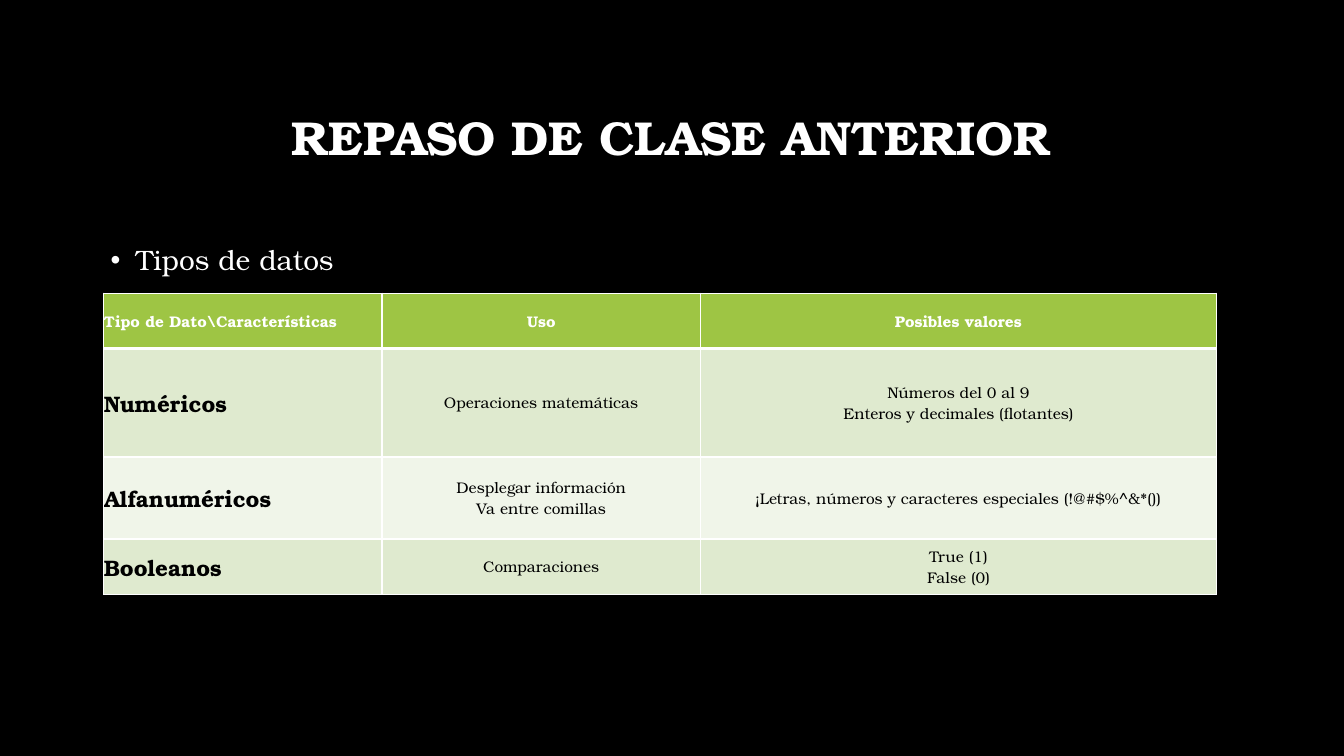
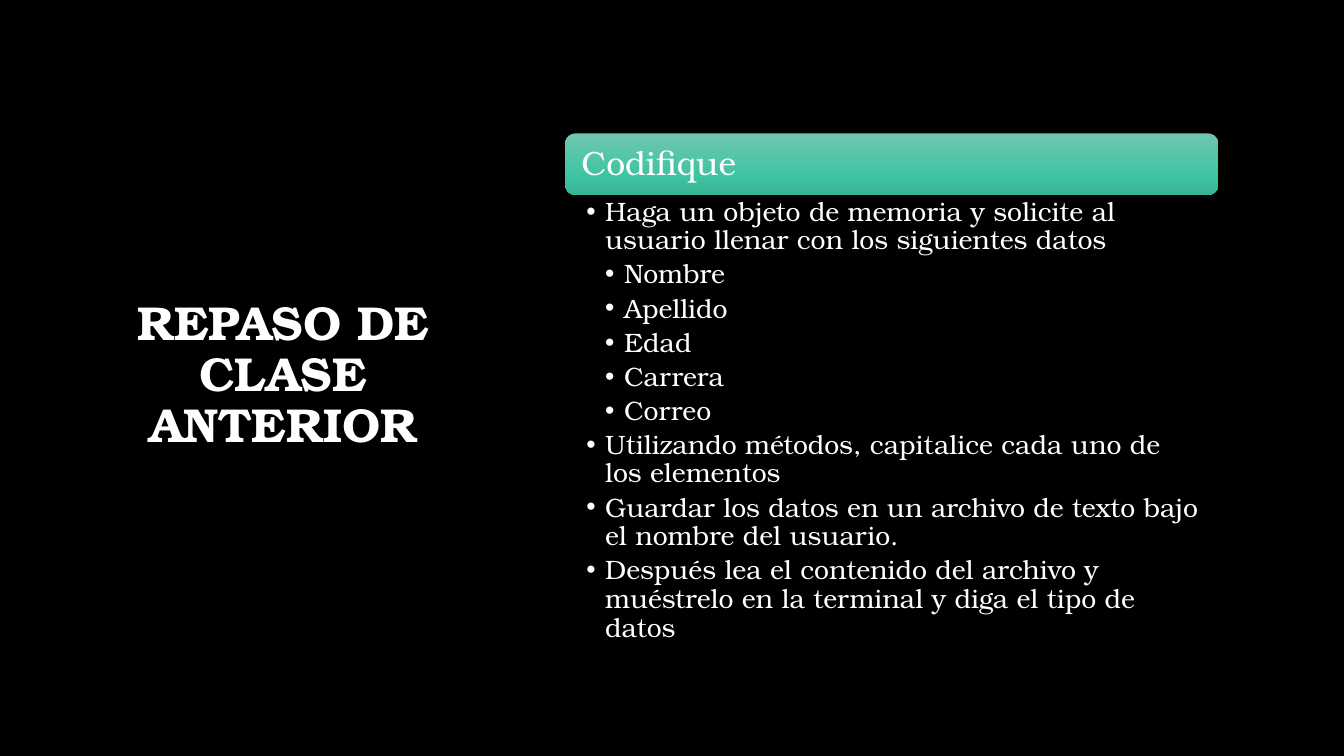
from pptx import Presentation
from pptx.dml.color import RGBColor
from pptx.enum.shapes import MSO_SHAPE
from pptx.enum.text import MSO_ANCHOR as Anchor, PP_ALIGN as Align
from pptx.oxml import parse_xml
from pptx.oxml.ns import nsdecls, qn
from pptx.util import Pt

FONT = "TeX Gyre Bonum"
BLACK, WHITE, GREEN = "000000", "FFFFFF", "9EC544"
BANDS = ["DFEACF", "F0F5E9"]
BANNER_STOPS = [(0, "70C6AF"), (69, "3EC4A3"), (100, "37B395")]

TITLE = "REPASO DE CLASE ANTERIOR"
TOPIC = "Tipos de datos"
COLUMN_WIDTHS = [198.7, 227.5, 368.6]
ROW_HEIGHTS = [39.4, 77.6, 58.6, 39.4]
TABLE_ROWS = [
    ("Tipo de Dato\\Características", "Uso", "Posibles valores"),
    ("Numéricos", "Operaciones matemáticas",
     "Números del 0 al 9\nEnteros y decimales (flotantes)"),
    ("Alfanuméricos", "Desplegar información\nVa entre comillas",
     "¡Letras, números y caracteres especiales (!@#$%^&*())"),
    ("Booleanos", "Comparaciones", "True (1)\nFalse (0)"),
]
EXERCISE = "Codifique"
STEPS = [
    (1, "Haga un objeto de memoria y solicite al usuario llenar con los siguientes datos"),
    (2, "Nombre"),
    (2, "Apellido"),
    (2, "Edad"),
    (2, "Carrera"),
    (2, "Correo"),
    (1, "Utilizando métodos, capitalice cada uno de los elementos"),
    (1, "Guardar los datos en un archivo de texto bajo el nombre del usuario."),
    (1, "Después lea el contenido del archivo y muéstrelo en la terminal y diga el tipo de datos"),
]


def rgb(color):
    """Turn a hex string into a colour."""
    return RGBColor.from_string(color)


def write(paragraph, text, size, color=WHITE, bold=False, align=Align.LEFT,
          line=1.0, before=0, after=0):
    """Add one formatted run and set the spacing of its paragraph."""
    paragraph.alignment = align
    paragraph.line_spacing = line
    paragraph.space_before, paragraph.space_after = Pt(before), Pt(after)
    run = paragraph.add_run()
    run.text = text
    run.font.name, run.font.size, run.font.bold = FONT, Pt(size), bold
    run.font.color.rgb = rgb(color)


def add_bullet(paragraph, margin, indent):
    """Give a paragraph a hanging bullet, with lengths in points."""
    properties = paragraph._p.get_or_add_pPr()
    properties.set("marL", str(Pt(margin)))
    properties.set("indent", str(Pt(-indent)))
    properties.append(parse_xml(f'<a:buFont {nsdecls("a")} typeface="Arial"/>'))
    properties.append(parse_xml(f'<a:buChar {nsdecls("a")} char="•"/>'))


def set_frame(frame, anchor, insets):
    """Set wrapping, anchor and insets of a text frame."""
    frame.word_wrap = True
    frame.vertical_anchor = anchor
    (frame.margin_left, frame.margin_top,
     frame.margin_right, frame.margin_bottom) = [Pt(inset) for inset in insets]
    return frame


def add_text_frame(slide, box, anchor=Anchor.TOP, insets=(7.2, 3.6, 7.2, 3.6)):
    """Add a text box and return its frame."""
    shape = slide.shapes.add_textbox(*[Pt(length) for length in box])
    return set_frame(shape.text_frame, anchor, insets)


def add_titled_slide(presentation, title_box):
    """Add a black slide with the shared title."""
    slide = presentation.slides.add_slide(presentation.slide_layouts[6])
    slide.background.fill.solid()
    slide.background.fill.fore_color.rgb = rgb(BLACK)
    frame = add_text_frame(slide, title_box, Anchor.MIDDLE)
    write(frame.paragraphs[0], TITLE, 34, bold=True, align=Align.CENTER, line=0.9)
    return slide


def style_cell(cell, fill, top, bottom):
    """Set borders, fill and insets of a table cell."""
    properties = cell._tc.get_or_add_tcPr()
    for side, width in (("L", 1), ("R", 1), ("T", top), ("B", bottom)):
        properties.append(parse_xml(
            f'<a:ln{side} {nsdecls("a")} w="{Pt(width)}"><a:solidFill>'
            f'<a:srgbClr val="{WHITE}"/></a:solidFill></a:ln{side}>'))
    cell.fill.solid()
    cell.fill.fore_color.rgb = rgb(fill)
    cell.vertical_anchor = Anchor.MIDDLE
    cell.margin_left = cell.margin_right = cell.margin_top = cell.margin_bottom = 0


def add_type_table(slide, left, top):
    """Add the table of data types."""
    table = slide.shapes.add_table(
        len(TABLE_ROWS), len(COLUMN_WIDTHS), Pt(left), Pt(top),
        Pt(sum(COLUMN_WIDTHS)), Pt(sum(ROW_HEIGHTS))).table
    for column, width in zip(table.columns, COLUMN_WIDTHS):
        column.width = Pt(width)
    for r, texts in enumerate(TABLE_ROWS):
        table.rows[r].height = Pt(ROW_HEIGHTS[r])
        header = r == 0
        fill = GREEN if header else BANDS[(r - 1) % 2]
        for c, text in enumerate(texts):
            cell = table.cell(r, c)
            style_cell(cell, fill, 3 if r == 1 else 1, 3 if header else 1)
            frame = cell.text_frame
            for i, line in enumerate(text.split("\n")):
                paragraph = frame.add_paragraph() if i else frame.paragraphs[0]
                write(paragraph, line, 16 if c == 0 and not header else 11,
                      WHITE if header else BLACK, header or c == 0,
                      Align.CENTER if c else Align.LEFT)


def add_banner(slide, box):
    """Add the rounded gradient banner with the exercise name."""
    shape = slide.shapes.add_shape(MSO_SHAPE.ROUNDED_RECTANGLE,
                                   *[Pt(length) for length in box])
    shape.shadow.inherit = False
    shape.line.fill.background()
    shape.fill.gradient()
    shape.fill.gradient_angle = 270
    stops = shape._element.spPr.find(".//" + qn("a:gsLst"))
    stops.clear()
    for position, color in BANNER_STOPS:
        stops.append(parse_xml(f'<a:gs {nsdecls("a")} pos="{position * 1000}">'
                               f'<a:srgbClr val="{color}"/></a:gs>'))
    frame = set_frame(shape.text_frame, Anchor.MIDDLE, (9.4, 7.2, 9.4, 7.2))
    write(frame.paragraphs[0], EXERCISE, 24, line=0.9)


def add_steps(slide, box):
    """Add the two-level list of steps."""
    frame = add_text_frame(slide, box, insets=(15, 2.2, 13.7, 2.2))
    for i, (level, text) in enumerate(STEPS):
        paragraph = frame.add_paragraph() if i else frame.paragraphs[0]
        write(paragraph, text, 19, line=0.9, after=3.8)
        add_bullet(paragraph, 13.5 * level, 13.5)


def main():
    """Build and save the presentation."""
    presentation = Presentation()
    presentation.slide_width, presentation.slide_height = Pt(960), Pt(540)

    slide = add_titled_slide(presentation, (72, 48, 815, 104.4))
    topic = add_text_frame(slide, (72, 165, 815, 291)).paragraphs[0]
    write(topic, TOPIC, 20, line=1.2, before=10)
    add_bullet(topic, 18, 18)
    add_type_table(slide, 74.2, 209.5)

    slide = add_titled_slide(presentation, (59, 48, 286.6, 441.4))
    add_banner(slide, (403.8, 95.3, 466.4, 43.9))
    add_steps(slide, (403.8, 139.4, 466.4, 305.3))

    presentation.save("out.pptx")


if __name__ == "__main__":
    main()
